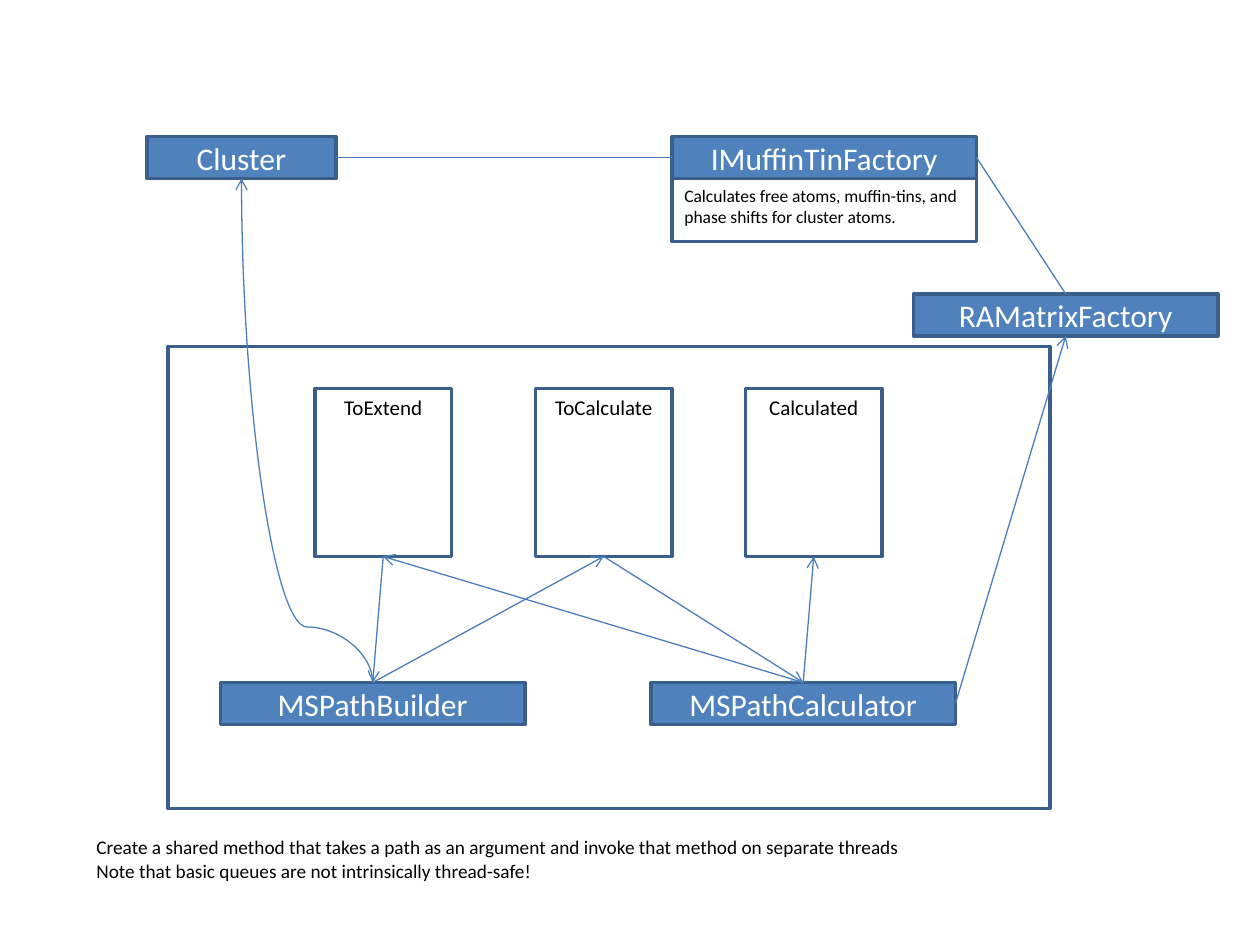
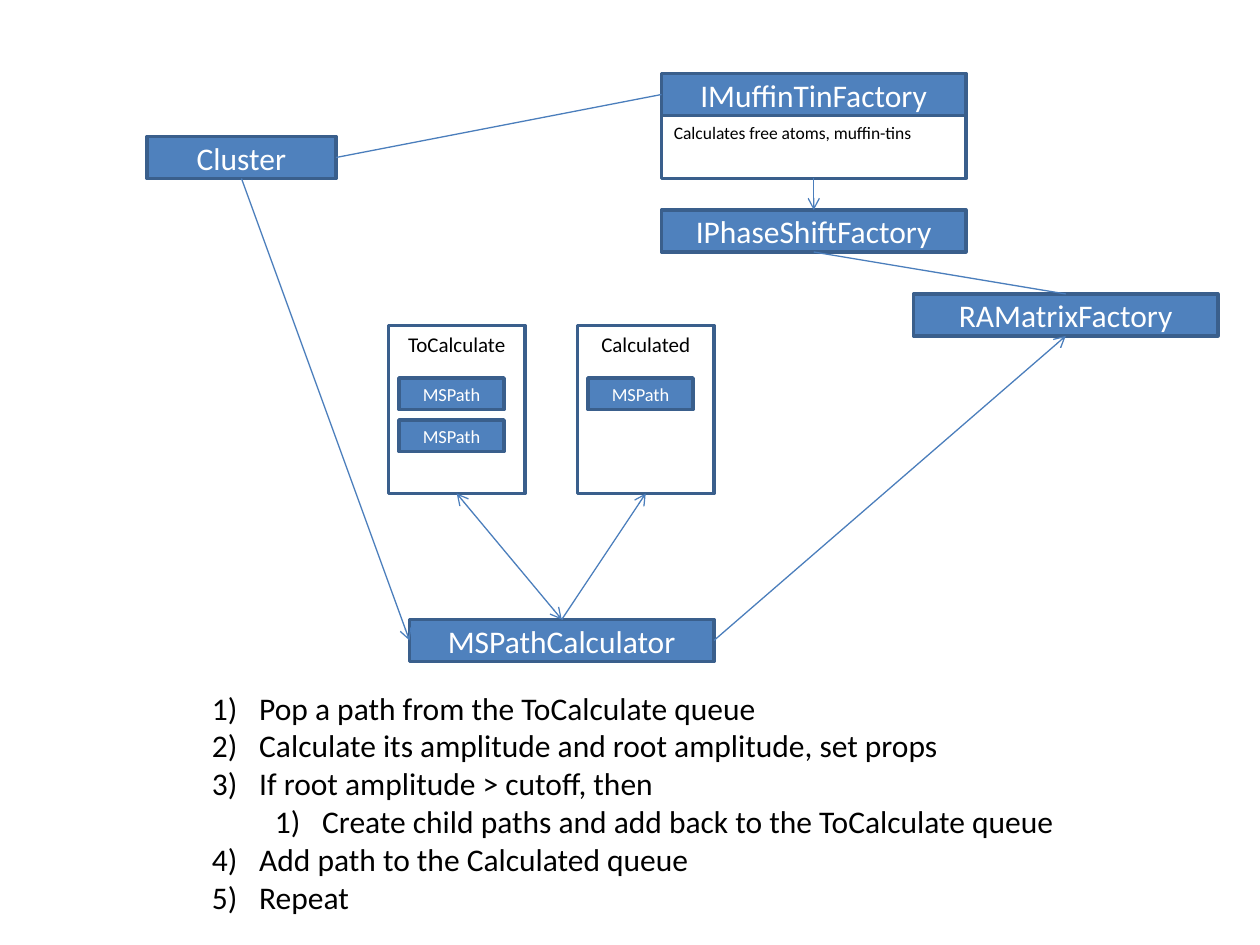
from lxml import etree
from pptx import Presentation
from pptx import util as u
from pptx.dml import color
from pptx.enum import shapes, text
from pptx.oxml import ns

FILL, OUTLINE, LINK, WHITE, BLACK = "4F81BD", "3A5F8C", "4B7EBC", "FFFFFF", "000000"
TOP, LEFT, BOTTOM, RIGHT = range(4)
CENTER, MIDDLE, UPPER = text.PP_ALIGN.CENTER, text.MSO_ANCHOR.MIDDLE, text.MSO_ANCHOR.TOP
STYLES = {
    "frame": dict(fill=None, ink=BLACK, size=12, align=CENTER, anchor=UPPER),
    "title": dict(fill=FILL, ink=WHITE, size=18, align=CENTER, anchor=MIDDLE),
    "item": dict(fill=FILL, ink=WHITE, size=10.5, align=CENTER, anchor=MIDDLE),
    "queue": dict(fill=WHITE, ink=BLACK, size=12, align=CENTER, anchor=UPPER),
    "note": dict(fill=WHITE, ink=BLACK, size=10, align=text.PP_ALIGN.LEFT, anchor=UPPER),
}


def grid(count):
    """Return a length of so many twelfths of an inch."""
    return u.Cm(count * 2.54 / 12)


def rgb(code):
    """Return the colour of a hex string."""
    return color.RGBColor.from_string(code)


def apply(target, values):
    """Set each attribute of the target from a dict."""
    for name, value in values.items():
        setattr(target, name, value)


def write(para, words, size, ink):
    """Put one formatted run into a paragraph."""
    span = para.add_run()
    span.text = words
    apply(span.font, dict(name="Calibri", size=u.Pt(size)))
    span.font.color.rgb = rgb(ink)


def add_box(page, kind, words, left, top, width, height):
    """Draw a rectangle of one of the shared styles."""
    style = STYLES[kind]
    box = page.shapes.add_shape(shapes.MSO_SHAPE.RECTANGLE, *map(grid, (left, top, width, height)))
    box.shadow.inherit = False
    if style["fill"]:
        box.fill.solid()
        box.fill.fore_color.rgb = rgb(style["fill"])
    else:
        box.fill.background()
    box.line.color.rgb = rgb(OUTLINE)
    box.line.width = u.Pt(2)
    apply(box.text_frame, dict(word_wrap=True, vertical_anchor=style["anchor"]))
    if words:
        para = box.text_frame.paragraphs[0]
        para.alignment = style["align"]
        write(para, words, style["size"], style["ink"])
    return box


def add_title(page, words, left, top, width=29):
    """Draw a component's title bar."""
    return add_box(page, "title", words, left, top, width, 4)


def add_note(page, words, left, top):
    """Draw the description under a title bar."""
    return add_box(page, "note", words, left, top, 29, 6)


def add_queue(page, words, left, top):
    """Draw a queue of paths."""
    return add_box(page, "queue", words, left, top, 13, 16)


def add_link(page, start, start_side, end, end_side, ends=("tail",), curved=False):
    """Connect two boxes, with arrowheads at the named ends."""
    kinds = shapes.MSO_CONNECTOR
    link = page.shapes.add_connector(kinds.CURVE if curved else kinds.STRAIGHT, 0, 0, 0, 0)
    link.begin_connect(start, start_side)
    link.end_connect(end, end_side)
    link.line.color.rgb = rgb(LINK)
    link.line.width = u.Pt(0.75)
    properties = link._element.spPr
    for name in ends:
        etree.SubElement(properties.find(ns.qn("a:ln")), ns.qn(f"a:{name}End"), type="arrow")
    etree.SubElement(properties, ns.qn("a:effectLst"))
    return link


def bend_upright(link, bend):
    """Turn a curved link so that it leaves upwards and bends early."""
    across, along = link.width, link.height
    middle, centre = link.left + across // 2, link.top + along // 2
    apply(link, dict(left=middle - along // 2, top=centre - across // 2, width=along, height=across))
    transform = link._element.spPr.find(ns.qn("a:xfrm"))
    transform.attrib.pop("flipH", None)
    transform.set("rot", str(270 * 60000))
    transform.set("flipV", "1")
    guides = link._element.spPr.find(ns.qn("a:prstGeom")).find(ns.qn("a:avLst"))
    etree.SubElement(guides, ns.qn("a:gd"), name="adj1", fmla=f"val {round(bend * 100000)}")


def add_text(page, lines, size, left, top, width, height, wrap=True, numbered=False):
    """Add a text box of (level, words) lines, numbered if asked."""
    box = page.shapes.add_textbox(*map(grid, (left, top, width, height)))
    frame = box.text_frame
    apply(frame, dict(auto_size=text.MSO_AUTO_SIZE.SHAPE_TO_FIT_TEXT, word_wrap=wrap))
    for index, (level, words) in enumerate(lines):
        para = frame.add_paragraph() if index else frame.paragraphs[0]
        para.level = level
        write(para, words, size, BLACK)
        if numbered:
            layout = para._p.get_or_add_pPr()
            layout.set("marL", str(grid(4.5 + 6 * level)))
            layout.set("indent", str(-grid(4.5)))
            etree.SubElement(layout, ns.qn("a:buFont"), typeface="+mj-lt")
            etree.SubElement(layout, ns.qn("a:buAutoNum"), type="arabicParenR")


def add_shared_parts(page):
    """Draw the two components that stay in place on both slides."""
    return add_title(page, "Cluster", 14, 13, 18), add_title(page, "RAMatrixFactory", 87, 28)


def build_threads(page):
    """Draw the builder and calculator sharing three queues."""
    add_box(page, "frame", "", 16, 33, 84, 44)
    cluster, matrix = add_shared_parts(page)
    muffin = add_title(page, "IMuffinTinFactory", 64, 13)
    add_note(page, "Calculates free atoms, muffin-tins, and phase shifts for cluster atoms.", 64, 17)
    builder = add_title(page, "MSPathBuilder", 21, 65)
    calculator = add_title(page, "MSPathCalculator", 62, 65)
    extend, pending, done = (
        add_queue(page, words, left, 37)
        for words, left in (("ToExtend", 30), ("ToCalculate", 51), ("Calculated", 71)))
    add_link(page, cluster, RIGHT, muffin, LEFT, ())
    add_link(page, muffin, RIGHT, matrix, TOP, ())
    add_link(page, extend, BOTTOM, builder, TOP)
    add_link(page, builder, TOP, pending, BOTTOM)
    bend_upright(add_link(page, builder, TOP, cluster, BOTTOM, curved=True), 0.11)
    add_link(page, pending, BOTTOM, calculator, TOP)
    add_link(page, calculator, TOP, done, BOTTOM)
    add_link(page, calculator, TOP, extend, BOTTOM)
    add_link(page, calculator, RIGHT, matrix, BOTTOM)
    add_text(page, [
        (0, "Create a shared method that takes a path as an argument and invoke that method on separate threads"),
        (0, "Note that basic queues are not intrinsically thread-safe!"),
    ], 11, 8, 79, 95, 5.6)


def build_steps(page):
    """Draw the single calculator with its numbered steps."""
    cluster, matrix = add_shared_parts(page)
    muffin = add_title(page, "IMuffinTinFactory", 63, 7)
    note = add_note(page, "Calculates free atoms, muffin-tins", 63, 11)
    phase = add_title(page, "IPhaseShiftFactory", 63, 20)
    calculator = add_title(page, "MSPathCalculator", 39, 59)
    pending = add_queue(page, "ToCalculate", 37, 31)
    done = add_queue(page, "Calculated", 55, 31)
    for left, top in ((38, 36), (38, 40), (56, 36)):
        add_box(page, "item", "MSPath", left, top, 10, 3)
    add_link(page, cluster, RIGHT, muffin, LEFT, ())
    add_link(page, phase, BOTTOM, matrix, TOP, ())
    add_link(page, calculator, TOP, done, BOTTOM)
    add_link(page, calculator, RIGHT, matrix, BOTTOM)
    add_link(page, cluster, BOTTOM, calculator, LEFT)
    add_link(page, pending, BOTTOM, calculator, TOP, ("head", "tail"))
    add_link(page, note, BOTTOM, phase, TOP)
    add_text(page, [
        (0, "Pop a path from the ToCalculate queue"),
        (0, "Calculate its amplitude and root amplitude, set props"),
        (0, "If root amplitude > cutoff, then"),
        (1, "Create child paths and add back to the ToCalculate queue"),
        (0, "Add path to the Calculated queue"),
        (0, "Repeat"),
    ], 18, 19, 65, 83.6, 23, wrap=False, numbered=True)


def main():
    """Build both slides and save the deck."""
    deck = Presentation()
    apply(deck, dict(slide_width=grid(120), slide_height=grid(90)))
    for build in (build_threads, build_steps):
        build(deck.slides.add_slide(deck.slide_layouts[6]))
    deck.save("out.pptx")


main()
